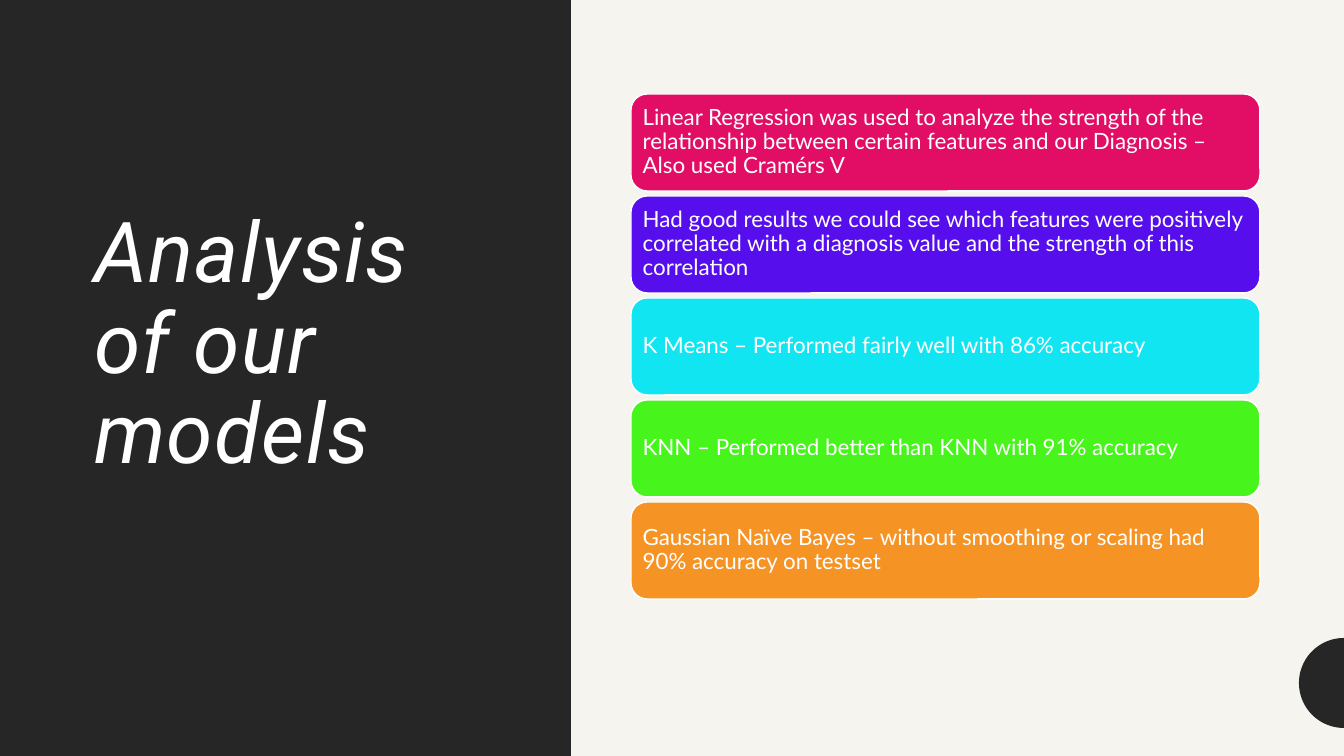
from math import cos, pi, sin

from pptx import Presentation
from pptx.dml.color import RGBColor
from pptx.enum.shapes import MSO_SHAPE
from pptx.enum.text import MSO_ANCHOR, MSO_AUTO_SIZE, PP_ALIGN
from pptx.util import Emu, Pt

# Content
TITLE = "Analysis of our models"
FINDINGS = [
    ("Linear Regression was used to analyze the strength of the relationship "
     "between certain features and our Diagnosis – Also used Cramérs V", "E20E65"),
    ("Had good results we could see which features were positively correlated "
     "with a diagnosis value and the strength of this correlation", "560EED"),
    ("K Means – Performed fairly well with 86% accuracy", "12E5F2"),
    ("KNN – Performed better than KNN with 91% accuracy", "47F41B"),
    ("Gaussian Naïve Bayes – without smoothing or scaling had 90% accuracy "
     "on testset", "F59324"),
]
DARK, CREAM, WHITE = "262626", "F6F4EF", "FFFFFF"

# Layout, in pixels
SLIDE_W, SLIDE_H = 1344, 756
PANEL_W = 571
TITLE_BOX = (84, 84, 422, 524)
CARD_LEFT, CARD_TOP, CARD_W, CARD_H, CARD_PITCH = 631, 94, 629, 97, 102
CARD_INSET = 7
CIRCLE_Y, CIRCLE_R, CIRCLE_STEPS = 683, 45, 48


def px(n):
    return Emu(round(n * 914400 / 100.8))


def color(hex_code):
    return RGBColor.from_string(hex_code)


def paint(sp, fill, line=None):
    sp.shadow.inherit = False
    sp.fill.solid()
    sp.fill.fore_color.rgb = color(fill)
    if line:
        sp.line.color.rgb = color(line)
        sp.line.width = Pt(1)
    else:
        sp.line.fill.background()


def write(tf, text, font, size):
    tf.text = text
    tf.word_wrap = True
    tf.auto_size = MSO_AUTO_SIZE.NONE
    tf.vertical_anchor = MSO_ANCHOR.MIDDLE
    p = tf.paragraphs[0]
    p.alignment = PP_ALIGN.LEFT
    p.line_spacing = 0.9
    p.font.name, p.font.size = font, Pt(size)
    p.font.color.rgb = color(WHITE)
    return p


prs = Presentation()
prs.slide_width, prs.slide_height = px(SLIDE_W), px(SLIDE_H)
s = prs.slides.add_slide(prs.slide_layouts[5])
s.background.fill.solid()
s.background.fill.fore_color.rgb = color(CREAM)

# Dark panel, behind the title
panel = s.shapes.add_shape(MSO_SHAPE.RECTANGLE, 0, 0, px(PANEL_W), px(SLIDE_H))
paint(panel, DARK)
title = s.shapes.title
title.element.addprevious(panel.element)

# Title
title.left, title.top, title.width, title.height = map(px, TITLE_BOX)
p = write(title.text_frame, TITLE, "Roboto", 60)
p.font.italic = True
p.runs[0].font._element.set("spc", "100")  # letter spacing of 1 pt

# Half circle at the right edge
arc = [(px(SLIDE_W - CIRCLE_R * sin(a)), px(CIRCLE_Y - CIRCLE_R * cos(a)))
       for a in (pi * i / CIRCLE_STEPS for i in range(CIRCLE_STEPS + 1))]
outline = s.shapes.build_freeform(*arc[0])
outline.add_line_segments(arc[1:], close=True)
paint(outline.convert_to_shape(), DARK)

# Stack of finding cards
for i, (text, fill) in enumerate(FINDINGS):
    card = s.shapes.add_shape(MSO_SHAPE.ROUNDED_RECTANGLE, px(CARD_LEFT),
                              px(CARD_TOP + i * CARD_PITCH), px(CARD_W), px(CARD_H))
    paint(card, fill, WHITE)
    tf = card.text_frame
    tf.margin_left = tf.margin_right = tf.margin_top = tf.margin_bottom = px(CARD_INSET)
    write(tf, text, "Lato", 16)

prs.save("out.pptx")
